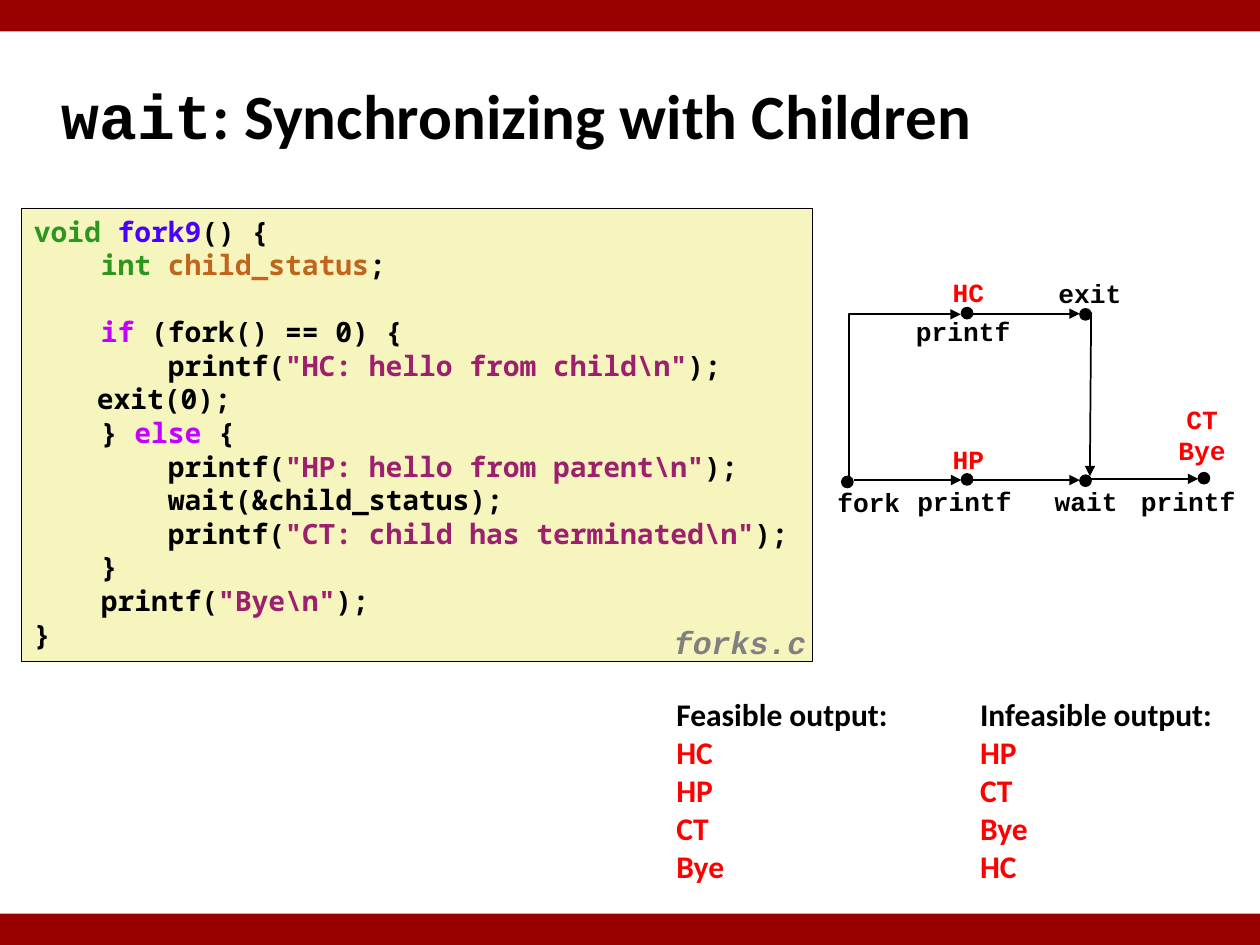
from dataclasses import dataclass
from typing import NamedTuple

from lxml.etree import SubElement
from pptx import Presentation
from pptx.dml.color import RGBColor
from pptx.enum.shapes import MSO_CONNECTOR, MSO_SHAPE
from pptx.enum.text import MSO_ANCHOR, PP_ALIGN
from pptx.oxml.ns import qn
from pptx.util import Inches, Pt


@dataclass(frozen=True)
class Theme:
    black: str = "000000"
    red: str = "FF0000"
    bar: str = "990000"
    paper: str = "F6F5BD"
    gray: str = "808080"
    kind: str = "2D961E"
    func: str = "4A00FF"
    name: str = "C1651C"
    word: str = "C200FF"
    quote: str = "9D206F"
    sans: str = "Calibri"
    mono: str = "Courier New"
    code: str = "Noto Sans Mono"
    title: int = 36
    body: int = 18
    source: int = 16
    label: int = 15


T = Theme()


class Box(NamedTuple):
    left: float
    top: float
    width: float
    height: float


class Span(NamedTuple):
    text: str
    color: str = T.black
    font: str = ""


class Label(NamedTuple):
    box: Box
    lines: tuple
    color: str = T.black
    wrap: bool = True


class Line(NamedTuple):
    x1: float
    y1: float
    x2: float
    y2: float


def call(text: str) -> list:
    """Return the spans of a printf line whose string is coloured."""
    return [Span(text[:text.index('"')]), Span(text[text.index('"'):-2], T.quote), Span(text[-2:])]


CODE = [
    [Span("void ", T.kind), Span("fork9", T.func), Span("() {")],
    [Span("    "), Span("int ", T.kind), Span("child_status", T.name), Span(";")],
    [],
    [Span("    "), Span("if", T.word), Span(" (fork() == 0) {")],
    call('        printf("HC: hello from child\\n");'),
    [Span("\texit(0);")],
    [Span("    } "), Span("else", T.word), Span(" {")],
    call('        printf("HP: hello from parent\\n");'),
    [Span("        wait(&child_status);")],
    call('        printf("CT: child has terminated\\n");'),
    [Span("    }")],
    call('    printf("Bye\\n");'),
    [Span("}")],
]

DOT = 0.09
DOTS = [(7.63, 3.76), (8.57, 3.77), (9.51, 3.75), (6.68, 3.78), (7.63, 2.44), (8.57, 2.45)]
LINES = [
    Line(6.78, 3.81, 7.63, 3.81),
    Line(7.72, 3.81, 8.57, 3.81),
    Line(8.66, 3.8, 9.51, 3.8),
    Line(7.72, 2.49, 8.57, 2.49),
    Line(8.66, 2.48, 8.65, 3.78),
]
BEND = Line(7.82, 3.58, 6.54, 2.69)
LABELS = [
    Label(Box(6.49, 3.81, 0.81, 0.35), ("fork",)),
    Label(Box(7.17, 3.8, 0.97, 0.35), ("printf",)),
    Label(Box(8.14, 3.8, 0.96, 0.35), ("wait",)),
    Label(Box(8.95, 3.8, 0.96, 0.35), ("printf",)),
    Label(Box(7.13, 2.45, 1.03, 0.35), ("printf",)),
    Label(Box(8.17, 2.15, 0.96, 0.35), ("exit",)),
    Label(Box(7.46, 3.47, 0.45, 0.35), ("HP",), T.red, False),
    Label(Box(7.46, 2.14, 0.45, 0.35), ("HC",), T.red, False),
    Label(Box(9.25, 3.15, 0.58, 0.61), ("CT", "Bye"), T.red, False),
]
OUTPUTS = [
    (Box(5.27, 5.47, 1.9, 1.62), "Feasible output:", ("HC", "HP", "CT", "Bye")),
    (Box(7.68, 5.47, 2.07, 1.62), "Infeasible output:", ("HP", "CT", "Bye", "HC")),
]
BARS = [Box(0, 0, 10, 0.25), Box(-0.01, -0.02, 10.01, 0.25), Box(-0.01, 7.25, 10.01, 0.25)]


def place(values: tuple) -> list:
    """Turn plain numbers into lengths."""
    return [Inches(value) for value in values]


def write(frame, lines: list, font: str, size: int, align=PP_ALIGN.LEFT, wrap: bool = False) -> None:
    """Fill a text frame with bold lines of spans."""
    frame.word_wrap = wrap
    for index, spans in enumerate(lines):
        para = frame.add_paragraph() if index else frame.paragraphs[0]
        para.alignment = align
        for span in spans:
            run = para.add_run()
            run.text = span.text
            run.font.name = span.font or font
            run.font.size = Pt(size)
            run.font.bold = True
            run.font.color.rgb = RGBColor.from_string(span.color)
        if not spans:
            end = SubElement(para._p, qn("a:endParaRPr"), sz=str(size * 100), b="1")
            SubElement(end, qn("a:latin"), typeface=font)


def text(shapes, box: Box, lines: list, font: str, size: int, align=PP_ALIGN.LEFT, wrap: bool = False):
    """Add a text box and return its frame."""
    frame = shapes.add_textbox(*place(box)).text_frame
    write(frame, lines, font, size, align, wrap)
    return frame


def solid(shapes, kind, box: Box, fill: str, line: float = 0):
    """Add a filled shape, with a black outline when a width is given."""
    shape = shapes.add_shape(kind, *place(box))
    shape.shadow.inherit = False
    shape.fill.solid()
    shape.fill.fore_color.rgb = RGBColor.from_string(fill)
    if line:
        shape.line.color.rgb = RGBColor.from_string(T.black)
        shape.line.width = Pt(line)
    else:
        shape.line.fill.background()
    return shape


def arrow(shapes, line: Line, kind=MSO_CONNECTOR.STRAIGHT):
    """Add a black connector with an arrowhead at its end."""
    link = shapes.add_connector(kind, *place(line))
    link.line.color.rgb = RGBColor.from_string(T.black)
    link.line.width = Pt(1)
    SubElement(link.line._get_or_add_ln(), qn("a:tailEnd"), type="triangle")
    SubElement(link._element.spPr, qn("a:effectLst"))
    return link


def graph(shapes) -> None:
    """Draw the process graph."""
    for left, top in DOTS:
        solid(shapes, MSO_SHAPE.OVAL, Box(left, top, DOT, DOT), T.black, 0.75)
    for line in LINES:
        arrow(shapes, line)
    props = arrow(shapes, BEND, MSO_CONNECTOR.ELBOW)._element.spPr
    props.find(qn("a:xfrm")).set("rot", "5400000")
    props.find(qn("a:prstGeom")).set("prst", "bentConnector2")
    for label in LABELS:
        lines = [[Span(line, label.color)] for line in label.lines]
        text(shapes, label.box, lines, T.mono, T.label, PP_ALIGN.CENTER, label.wrap)


def main() -> None:
    """Build and save the slide."""
    deck = Presentation()
    deck.slide_width, deck.slide_height = Inches(10), Inches(7.5)
    shapes = deck.slides.add_slide(deck.slide_layouts[6]).shapes
    for bar in BARS:
        solid(shapes, MSO_SHAPE.RECTANGLE, bar, T.bar)

    heading = [[Span("wait", font=T.mono), Span(": Synchronizing with Children")]]
    frame = text(shapes, Box(0.39, 0.49, 8.3, 0.83), heading, T.sans, T.title, wrap=True)
    frame.vertical_anchor = MSO_ANCHOR.MIDDLE

    panel = solid(shapes, MSO_SHAPE.RECTANGLE, Box(0.17, 1.65, 6.28, 3.6), T.paper, 0.25)
    panel.text_frame.vertical_anchor = MSO_ANCHOR.TOP
    write(panel.text_frame, CODE, T.code, T.source)

    graph(shapes.add_group_shape().shapes)

    caption = [[Span("forks.c", T.gray)]]
    para = text(shapes, Box(5.25, 4.92, 1.32, 0.39), caption, T.mono, T.body).paragraphs[0]
    para.line_spacing = 0.94
    para.runs[0].font.italic = True

    for box, head, items in OUTPUTS:
        lines = [[Span(head)]] + [[Span(item, T.red)] for item in items]
        text(shapes, box, lines, T.sans, T.body)
    deck.save("out.pptx")


if __name__ == "__main__":
    main()
